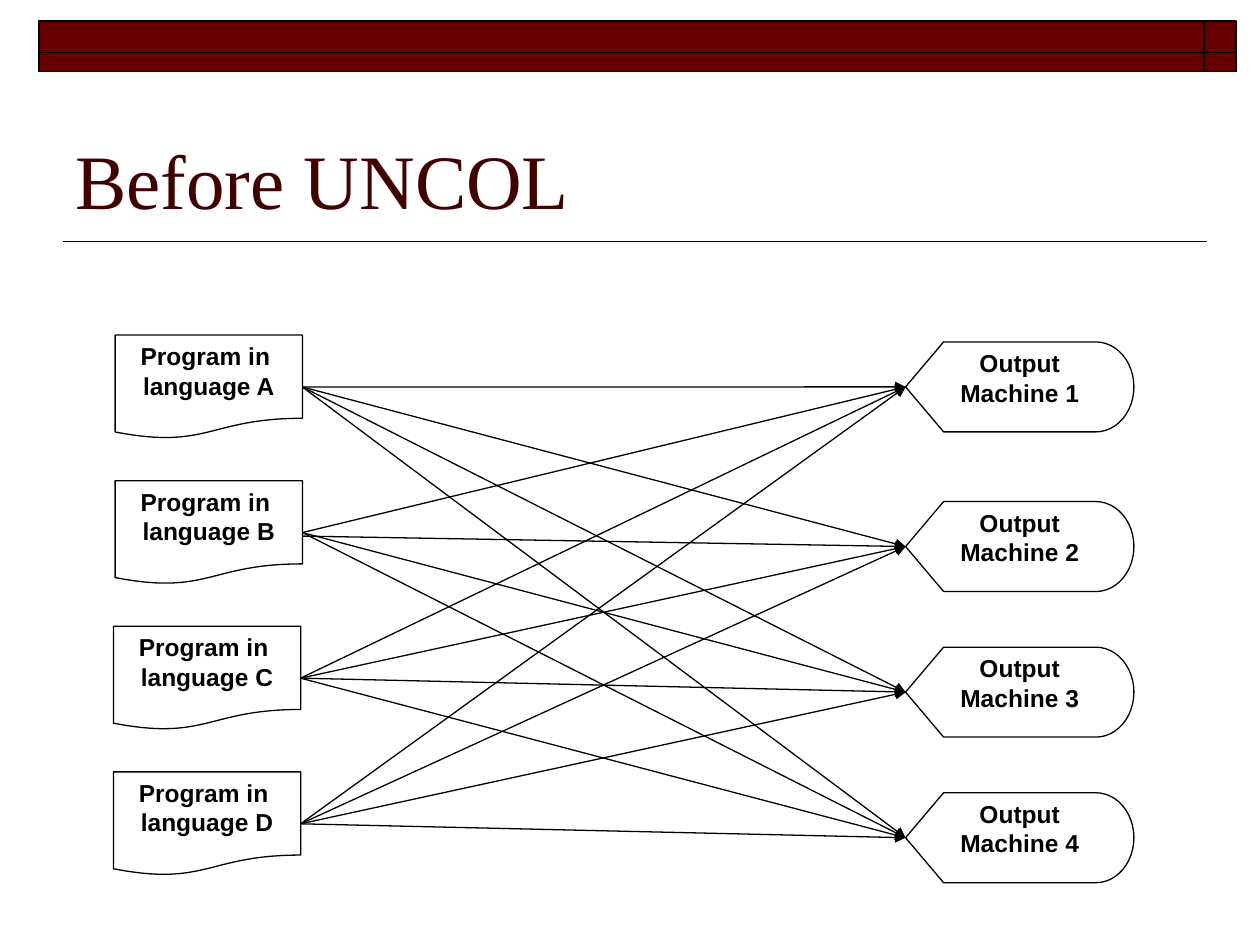
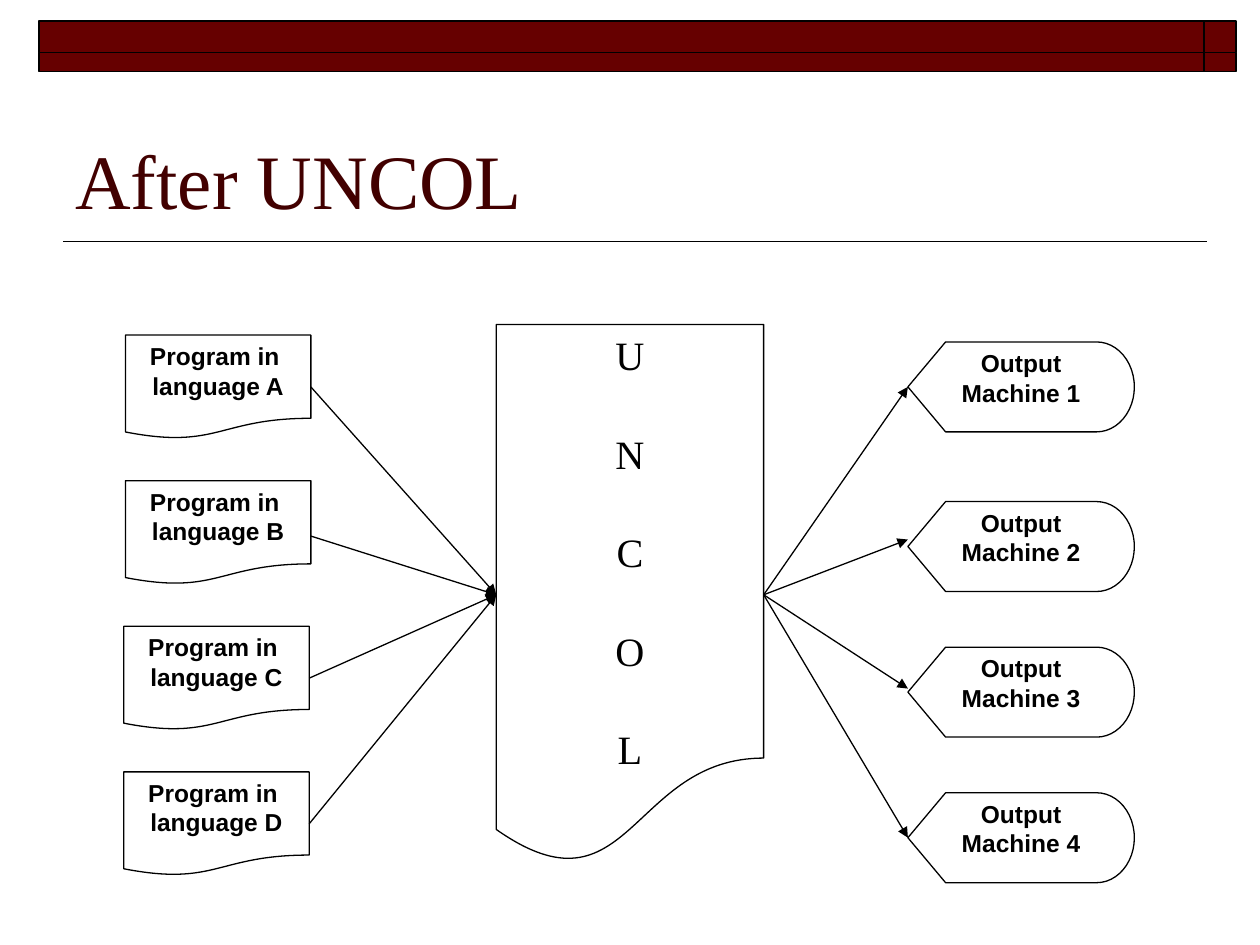
from itertools import product

from lxml import etree
from pptx import Presentation
from pptx.dml.color import RGBColor
from pptx.enum import shapes, text
from pptx.oxml import ns
from pptx.util import Pt

BAND_RED = RGBColor(0x66, 0x00, 0x00)
TITLE_RED = RGBColor(0x42, 0x00, 0x00)
BLACK = RGBColor(0x00, 0x00, 0x00)
WHITE = RGBColor(0xFF, 0xFF, 0xFF)
SERIF, SANS = "Times New Roman", "Arial"
DOCUMENT = shapes.MSO_SHAPE.FLOWCHART_DOCUMENT
DISPLAY = shapes.MSO_SHAPE.FLOWCHART_DISPLAY
LEFT_SITE, RIGHT_SITE = 1, 3
ROW_PITCH = 83.2


def add_box(slide, kind, box, fill=None, line_width=0.75):
    """Add an outlined preset shape in box (left, top, width, height)."""
    shape = slide.shapes.add_shape(kind, *(Pt(length) for length in box))
    shape.shadow.inherit = False
    if fill is None:
        shape.fill.background()
    else:
        shape.fill.solid()
        shape.fill.fore_color.rgb = fill
    shape.line.color.rgb = BLACK
    shape.line.width = Pt(line_width)
    return shape


def write_lines(shape, lines, font_name, size, bold=False, color=BLACK, gap=0,
                align=text.PP_ALIGN.CENTER, anchor=text.MSO_ANCHOR.TOP):
    """Write one paragraph per line, with gap points between them."""
    frame = shape.text_frame
    frame.word_wrap = True
    frame.vertical_anchor = anchor
    for index, line in enumerate(lines):
        paragraph = frame.add_paragraph() if index else frame.paragraphs[0]
        paragraph.text = line
        paragraph.alignment = align
        paragraph.space_before = Pt(gap if index else 0)
        paragraph.font.name = font_name
        paragraph.font.size = Pt(size)
        paragraph.font.bold = bold
        paragraph.font.color.rgb = color


def add_line(slide, start, end, width=0.75):
    """Draw a straight black line between two (x, y) points."""
    connector = slide.shapes.add_connector(
        shapes.MSO_CONNECTOR.STRAIGHT, *start, *end)
    connector.line.color.rgb = BLACK
    connector.line.width = Pt(width)
    etree.SubElement(connector._element.spPr, ns.qn("a:effectLst"))
    return connector


def add_arrow(slide, source, target, start_shift=0, end_shift=0):
    """Draw an arrow from the right side of source to the left side of target."""
    start = (source.left + source.width,
             source.top + source.height // 2 + Pt(start_shift))
    end = (target.left, target.top + target.height // 2 + Pt(end_shift))
    arrow = add_line(slide, start, end)
    outline = arrow._element.spPr.find(ns.qn("a:ln"))
    etree.SubElement(outline, ns.qn("a:tailEnd"), type="triangle")
    if not start_shift:
        arrow.begin_connect(source, RIGHT_SITE)
    if not end_shift:
        arrow.end_connect(target, LEFT_SITE)


def add_bands(slide, left, top):
    """Draw the two-by-two red bands across the top."""
    rows = ((0, 18), (18, 11))
    columns = ((666, 18), (0, 666))
    for (y, height), (x, width) in product(rows, columns):
        add_box(slide, shapes.MSO_SHAPE.RECTANGLE,
                (left + x, top + y, width, height), BAND_RED, 1)


def add_title_slide(presentation, title):
    """Add a blank slide with the bands, the title and the rule below it."""
    slide = presentation.slides.add_slide(presentation.slide_layouts[6])
    add_line(slide, (Pt(36), Pt(138)), (Pt(690), Pt(138)), 1)
    add_bands(slide, 22.2, 12)
    title_box = slide.shapes.add_textbox(Pt(36), Pt(42), Pt(648), Pt(90))
    write_lines(title_box, [title], SERIF, 44, color=TITLE_RED,
                align=text.PP_ALIGN.LEFT, anchor=text.MSO_ANCHOR.BOTTOM)
    return slide


def add_programs(slide, left, top, width):
    """Stack the four source programs, the lower two set slightly left."""
    programs = []
    for row, letter in enumerate("ABCD"):
        x = left - (1 if row > 1 else 0)
        program = add_box(slide, DOCUMENT,
                          (x, top + row * ROW_PITCH, width, 59.3), WHITE)
        write_lines(program, ["Program in ", f"language {letter}"], SANS, 14, True)
        programs.append(program)
    return programs


def add_machines(slide, left, top, width):
    """Stack the four output machines, with a wider gap below the first."""
    machines = []
    for row in range(4):
        y = top + row * ROW_PITCH + (8 if row else 0)
        machine = add_box(slide, DISPLAY, (left, y, width, 51.4), WHITE)
        write_lines(machine, ["Output", f"Machine {row + 1}"], SANS, 14, True)
        machines.append(machine)
    return machines


def build_before(presentation):
    """Build the slide where every program needs every machine."""
    slide = add_title_slide(presentation, "Before UNCOL")
    programs = add_programs(slide, 65.8, 191.5, 107)
    machines = add_machines(slide, 517.5, 195.4, 130.5)
    start_shifts = {(1, 1): 2}
    for row, column in product(range(4), repeat=2):
        add_arrow(slide, programs[row], machines[column],
                  start_shifts.get((row, column), 0))


def build_after(presentation):
    """Build the slide where UNCOL stands between programs and machines."""
    slide = add_title_slide(presentation, "After UNCOL")
    programs = add_programs(slide, 71.7, 191.5, 106)
    machines = add_machines(slide, 518.8, 195.4, 129.4)
    uncol = add_box(slide, DOCUMENT, (283.6, 185.4, 152.8, 309))
    write_lines(uncol, "UNCOL", SERIF, 23, gap=28.7)
    for program, shift in zip(programs, (0, 2, 0, 0)):
        add_arrow(slide, program, uncol, start_shift=shift)
    for machine, shift in zip(machines, (0, -4, -2, 0)):
        add_arrow(slide, uncol, machine, end_shift=shift)


def main():
    """Build and save the presentation."""
    presentation = Presentation()
    presentation.slide_width, presentation.slide_height = Pt(720), Pt(540)
    build_before(presentation)
    build_after(presentation)
    presentation.save("out.pptx")


if __name__ == "__main__":
    main()
